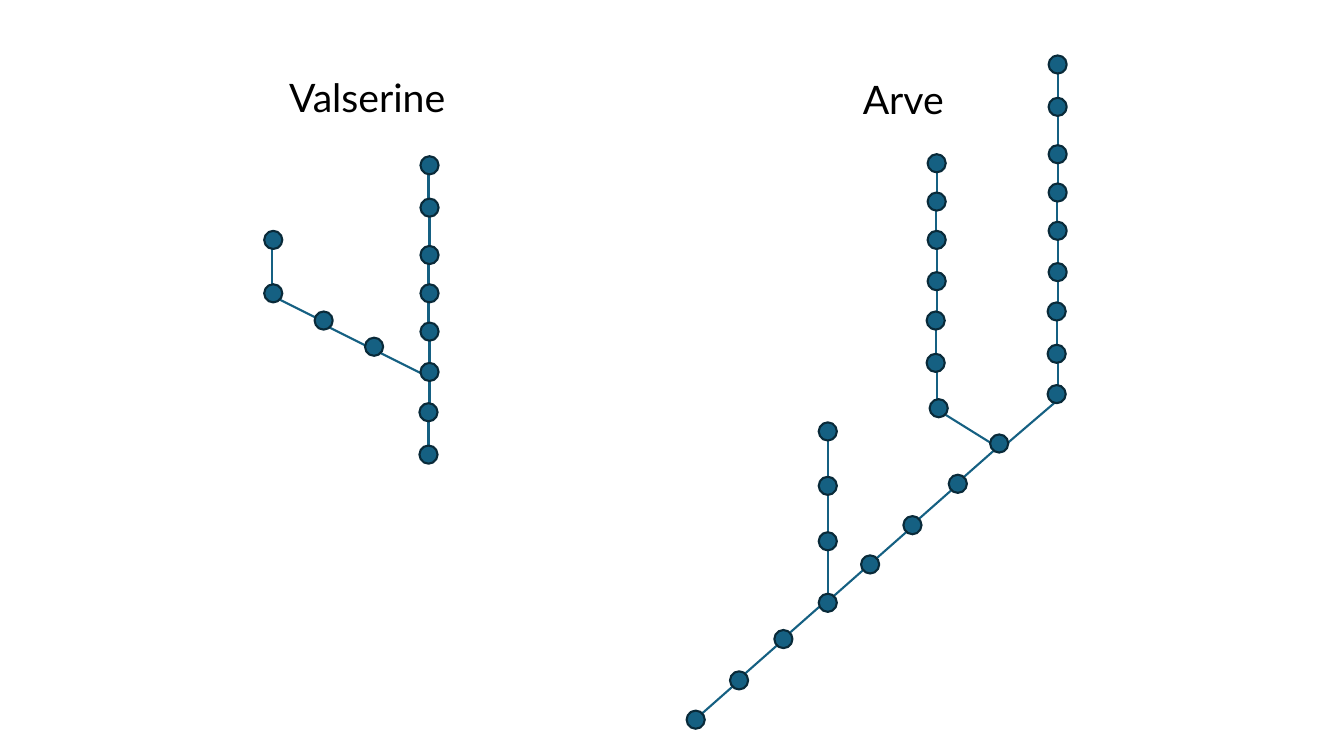
from dataclasses import dataclass

from lxml import etree
from pptx import Presentation
from pptx.dml import color as c
from pptx.enum import shapes, text
from pptx.oxml import ns
from pptx.util import Inches, Pt


@dataclass(frozen=True)
class Theme:
    water: str = "156082"
    rim: str = "092A39"
    ink: str = "000000"
    font: str = "Lato"
    size: int = 28
    line: float = 1.5


THEME = Theme()
DOT = 0.18

# Each river: label position, reaches (step, start points), station columns
# (left, tops) and single stations (left, top).
RIVERS = {
    "Valserine": {
        "label": (2.77, 0.68),
        "reaches": [
            ((0, 0.3), [(4.25, 1.71), (4.26, 2.14), (4.25, 2.57), (4.25, 2.95),
                        (4.26, 3.35), (4.26, 3.75), (4.25, 4.15)]),
            ((0.4, 0.2), [(2.77, 2.97), (3.27, 3.25), (3.77, 3.5)]),
            ((0, 0.37), [(2.7, 2.45)]),
        ],
        "columns": [
            (4.17, [1.55, 1.97, 2.44, 2.82, 3.2, 3.6]),
            (4.16, [4, 4.42]),
            (2.62, [2.29, 2.82]),
        ],
        "single": [(3.12, 3.09), (3.62, 3.35)],
    },
    "Arve": {
        "label": (8.46, 0.7),
        "reaches": [
            ((0, 0.3), [(10.49, 0.71), (10.49, 1.14), (10.49, 1.58),
                        (10.48, 1.95), (10.49, 2.35), (10.49, 2.75),
                        (10.48, 3.15), (10.49, 3.58)]),
            ((0, 0.3), [(9.29, 1.67), (9.28, 2.04), (9.29, 2.44),
                        (9.29, 2.84), (9.28, 3.24), (9.29, 3.67)]),
            ((-0.49, 0.42), [(10.49, 3.97)]),
            ((0.45, 0.28), [(9.37, 4.11)]),
            ((-0.34, 0.3), [(9.88, 4.45), (9.44, 4.86), (9.01, 5.26),
                            (8.59, 5.63), (8.16, 5.99), (7.71, 6.4),
                            (7.29, 6.79)]),
            ((0, 0.43), [(8.21, 4.37), (8.21, 4.91), (8.21, 5.46)]),
        ],
        "columns": [
            (10.4, [0.55, 0.97, 1.44, 1.82, 2.2, 2.61]),
            (10.39, [3, 3.42, 3.82]),
            (9.2, [1.53, 1.91, 2.29, 2.7]),
            (9.19, [3.09, 3.51]),
            (8.12, [4.19, 4.73, 5.28, 5.89]),
        ],
        "single": [(9.22, 3.96), (9.82, 4.31), (9.41, 4.71), (8.96, 5.12),
                   (8.54, 5.51), (7.68, 6.25), (7.24, 6.66), (6.81, 7.05)],
    },
}


def rgb(tone):
    return c.RGBColor.from_string(tone)


def apply(item, values):
    """Set each named attribute of item."""
    for name, value in values.items():
        setattr(item, name, value)


def add_reach(slide, start, step):
    x, y = start
    dx, dy = step
    reach = slide.shapes.add_connector(
        shapes.MSO_CONNECTOR.STRAIGHT,
        *map(Inches, (x, y, x + dx, y + dy)))
    reach.line.width = Pt(THEME.line)
    reach.line.color.rgb = rgb(THEME.water)
    etree.SubElement(reach._element.spPr, ns.qn("a:effectLst"))


def add_station(slide, left, top):
    dot = slide.shapes.add_shape(
        shapes.MSO_SHAPE.OVAL, *map(Inches, (left, top, DOT, DOT)))
    dot.shadow.inherit = False
    dot.fill.solid()
    dot.fill.fore_color.rgb = rgb(THEME.water)
    dot.line.width = Pt(THEME.line)
    dot.line.color.rgb = rgb(THEME.rim)


def add_label(slide, name, left, top):
    box = slide.shapes.add_textbox(*map(Inches, (left, top, 2.5, 0.57)))
    apply(box.text_frame, {"word_wrap": True,
                           "auto_size": text.MSO_AUTO_SIZE.SHAPE_TO_FIT_TEXT})
    run = box.text_frame.paragraphs[0].add_run()
    run.text = name
    apply(run.font, {"name": THEME.font, "size": Pt(THEME.size)})
    run.font.color.rgb = rgb(THEME.ink)


def add_river(slide, name, river):
    for step, starts in river["reaches"]:
        for start in starts:
            add_reach(slide, start, step)
    for left, tops in river["columns"]:
        for top in tops:
            add_station(slide, left, top)
    for left, top in river["single"]:
        add_station(slide, left, top)
    add_label(slide, name, *river["label"])


def main():
    deck = Presentation()
    apply(deck, {"slide_width": Inches(13.33), "slide_height": Inches(7.5)})
    slide = deck.slides.add_slide(deck.slide_layouts[6])
    for name, river in RIVERS.items():
        add_river(slide, name, river)
    deck.save("out.pptx")


if __name__ == "__main__":
    main()
